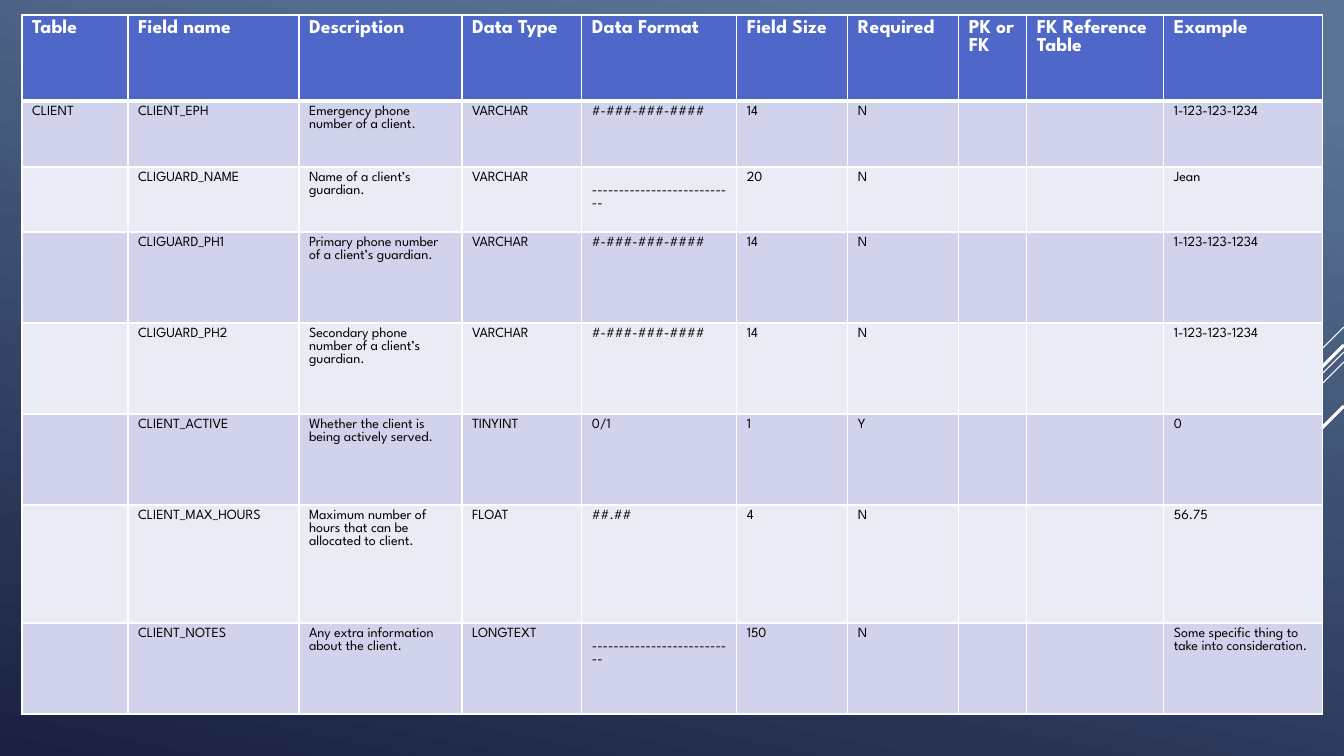
from lxml import etree
from pptx import Presentation
from pptx.dml.color import RGBColor
from pptx.enum.shapes import MSO_CONNECTOR
from pptx.oxml.ns import qn
from pptx.util import Emu, Pt

STRAIGHT = MSO_CONNECTOR.STRAIGHT
WHITE = RGBColor(0xFF, 0xFF, 0xFF)
BLACK = RGBColor(0x00, 0x00, 0x00)
HEADER_BLUE = RGBColor(0x4E, 0x67, 0xC8)
BAND_DARK = RGBColor(0xD0, 0xD3, 0xEB)
BAND_LIGHT = RGBColor(0xE9, 0xEB, 0xF5)
SKY = RGBColor(0x59, 0x74, 0x96)
NIGHT = RGBColor(0x1A, 0x20, 0x40)
FONT = "League Spartan"

PHONE = "#-###-###-####"
PHONE_EXAMPLE = "1-123-123-1234"
DASHES = " " + "-" * 27
ROWS = [
    ("Table", "Field name", "Description", "Data Type", "Data Format", "Field Size",
     "Required", "PK or FK", "FK Reference Table", "Example"),
    ("CLIENT", "CLIENT_EPH", "Emergency phone number of a client.", "VARCHAR",
     PHONE, "14", "N", "", "", PHONE_EXAMPLE),
    ("", "CLIGUARD_NAME", "Name of a client’s guardian.", "VARCHAR",
     DASHES, "20", "N", "", "", "Jean"),
    ("", "CLIGUARD_PH1", "Primary phone number of a client’s guardian.", "VARCHAR",
     PHONE, "14", "N", "", "", PHONE_EXAMPLE),
    ("", "CLIGUARD_PH2", "Secondary phone number of a client’s guardian.", "VARCHAR",
     PHONE, "14", "N", "", "", PHONE_EXAMPLE),
    ("", "CLIENT_ACTIVE", "Whether the client is being actively served.", "TINYINT",
     "0/1", "1", "Y", "", "", "0"),
    ("", "CLIENT_MAX_HOURS", "Maximum number of hours that can be allocated to client.",
     "FLOAT", "##.##", "4", "N", "", "", "56.75"),
    ("", "CLIENT_NOTES", "Any extra information about the client.", "LONGTEXT",
     DASHES, "150", "N", "", "", "Some specific thing to take into consideration."),
]

# Lengths in px
SLIDE_WIDTH, SLIDE_HEIGHT = 1344, 756
TABLE_LEFT, TABLE_TOP = 22, 15
COLUMN_WIDTHS = [106, 171, 163, 120, 155, 111, 111, 68, 137, 159]
ROW_HEIGHTS = [86, 66, 65, 91, 91, 91, 118, 91]
# Diagonals from the right edge: start y, run to the lower left, width in points
DIAGONALS = [(327, 101, 0.75), (352, 329, 0.75), (362, 209, 0.75),
             (345, 193, 2.25), (406, 140, 2.25)]


def px(length):
    return Emu(round(length * 914400 / 100.8))


def paint_background(slide):
    fill = slide.background.fill
    fill.gradient()
    fill.gradient_angle = 258
    for stop, color, position in zip(fill.gradient_stops, (SKY, NIGHT), (0.1, 1)):
        stop.color.rgb = color
        stop.position = position


def add_diagonal(slide, top, run, width):
    line = slide.shapes.add_connector(
        STRAIGHT, px(SLIDE_WIDTH), px(top), px(SLIDE_WIDTH - run), px(top + run))
    line.line.color.rgb = WHITE
    line.line.width = Pt(width)
    etree.SubElement(line._element.spPr, qn("a:effectLst"))


def add_borders(cell, top_width, bottom_width):
    properties = cell._tc.get_or_add_tcPr()
    widths = {"a:lnL": 1, "a:lnR": 1, "a:lnT": top_width, "a:lnB": bottom_width}
    for side, width in widths.items():
        border = etree.SubElement(properties, qn(side), w=str(Pt(width)))
        solid = etree.SubElement(border, qn("a:solidFill"))
        etree.SubElement(solid, qn("a:srgbClr"), val=str(WHITE))


def fill_cell(cell, text, row):
    is_header = row == 0
    add_borders(cell, 3 if row == 1 else 1, 3 if is_header else 1)
    cell.fill.solid()
    band = BAND_DARK if row % 2 else BAND_LIGHT
    cell.fill.fore_color.rgb = HEADER_BLUE if is_header else band
    if text:
        span = cell.text_frame.paragraphs[0].add_run()
        span.text = text
        span.font.name = FONT
        span.font.size = Pt(14 if is_header else 10)
        span.font.bold = is_header
        span.font.color.rgb = WHITE if is_header else BLACK


def add_dictionary_table(slide):
    table = slide.shapes.add_table(
        len(ROWS), len(COLUMN_WIDTHS), px(TABLE_LEFT), px(TABLE_TOP),
        px(sum(COLUMN_WIDTHS)), px(sum(ROW_HEIGHTS))).table
    for column, width in zip(table.columns, COLUMN_WIDTHS):
        column.width = px(width)
    for row, height in zip(table.rows, ROW_HEIGHTS):
        row.height = px(height)
    for row_index, texts in enumerate(ROWS):
        for column_index, text in enumerate(texts):
            fill_cell(table.cell(row_index, column_index), text, row_index)


def main():
    deck = Presentation()
    deck.slide_width, deck.slide_height = px(SLIDE_WIDTH), px(SLIDE_HEIGHT)
    slide = deck.slides.add_slide(deck.slide_layouts[6])
    paint_background(slide)
    for diagonal in DIAGONALS:
        add_diagonal(slide, *diagonal)
    add_dictionary_table(slide)
    deck.save("out.pptx")


if __name__ == "__main__":
    main()
